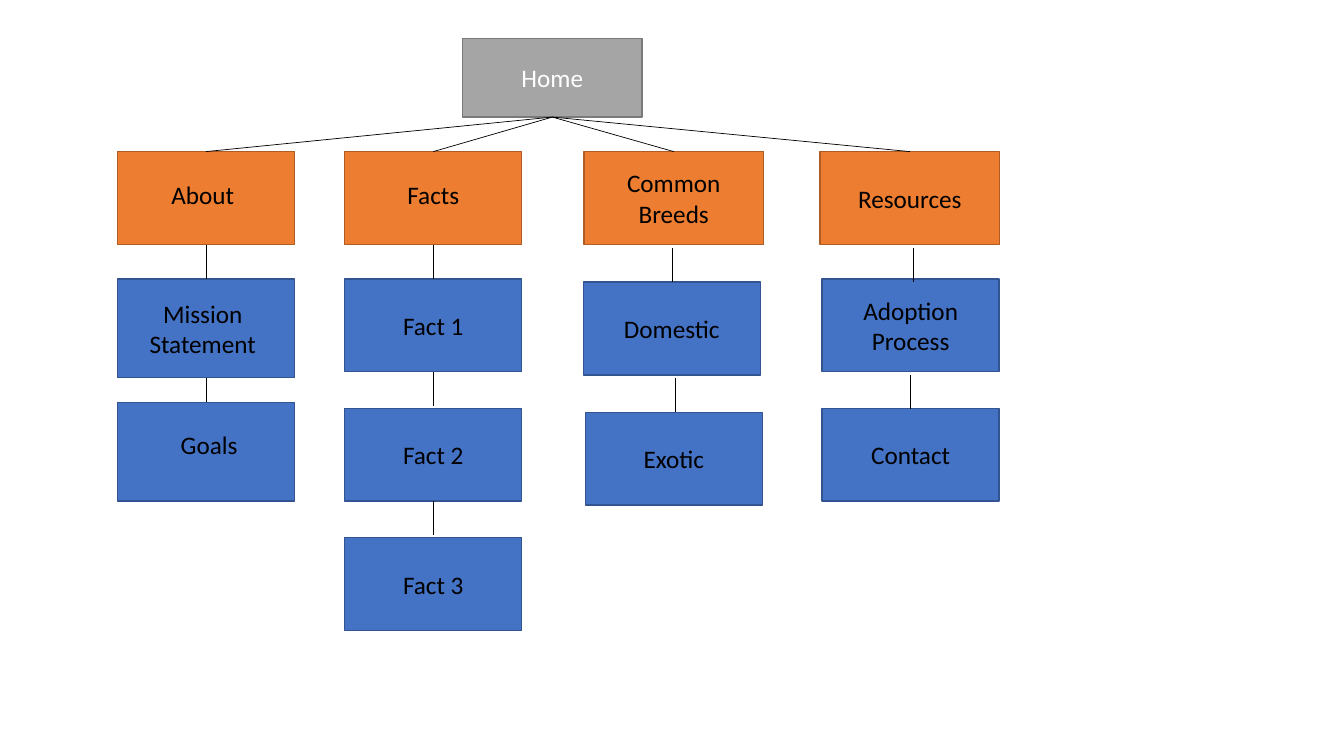
from dataclasses import dataclass

import pptx
import pptx.dml.color
import pptx.enum.shapes
import pptx.enum.text
import pptx.oxml
import pptx.oxml.ns
import pptx.util

Cm = pptx.util.Cm
Pt = pptx.util.Pt
Shapes = pptx.enum.shapes.MSO_SHAPE

COLOURS = {
    "home": "A5A5A5", "home edge": "7A7A7A", "home text": "FFFFFF",
    "section": "ED7D31", "section edge": "AF5C24", "section text": "000000",
    "topic": "4472C4", "topic edge": "325491", "topic text": "000000",
    "link": "000000",
}
FONT_FORMAT = {"name": "Calibri", "size": Pt(18), "bold": False}
FRAME_FORMAT = {
    "word_wrap": True,
    "vertical_anchor": pptx.enum.text.MSO_ANCHOR.MIDDLE,
}
SIDE_INSET, END_INSET = 0.25, 0.13
SECTION_TOP, ROW_TOP, ROW_PITCH = 3.82, 7.03, 3.26


@dataclass
class Node:
    label: str
    left: float
    top: float
    width: float = 4.46
    height: float = 2.34
    kind: str = "topic"
    preset: Shapes = Shapes.RECTANGLE
    shift: float = 0
    lift: float = 0

    @property
    def centre(self) -> float:
        return self.left + self.width / 2

    @property
    def bottom(self) -> float:
        return self.top + self.height


@dataclass
class Stem:
    x: float
    top: float
    length: float = 0.86


def colour(key: str) -> pptx.dml.color.RGBColor:
    return pptx.dml.color.RGBColor.from_string(COLOURS[key])


def apply(target: object, values: dict) -> None:
    for name, value in values.items():
        setattr(target, name, value)


def draw_node(page: pptx.slide.Slide, node: Node) -> None:
    box = page.shapes.add_shape(
        node.preset, Cm(node.left), Cm(node.top), Cm(node.width), Cm(node.height))
    box.shadow.inherit = False
    box.fill.solid()
    box.fill.fore_color.rgb = colour(node.kind)
    box.line.color.rgb = colour(f"{node.kind} edge")
    box.line.width = Pt(1)
    frame = box.text_frame
    apply(frame, FRAME_FORMAT | {
        "margin_left": Cm(SIDE_INSET + node.shift),
        "margin_right": Cm(SIDE_INSET - node.shift),
        "margin_top": Cm(END_INSET),
        "margin_bottom": Cm(END_INSET + 2 * node.lift),
    })
    para = frame.paragraphs[0]
    para.alignment = pptx.enum.text.PP_ALIGN.CENTER
    span = para.add_run()
    span.text = node.label
    apply(span.font, FONT_FORMAT)
    span.font.color.rgb = colour(f"{node.kind} text")


def draw_link(page: pptx.slide.Slide, x1: float, y1: float, x2: float, y2: float) -> None:
    link = page.shapes.add_connector(
        pptx.enum.shapes.MSO_CONNECTOR.STRAIGHT, Cm(x1), Cm(y1), Cm(x2), Cm(y2))
    link.line.color.rgb = colour("link")
    link.line.width = Pt(0.5)
    properties = link._element.find(pptx.oxml.ns.qn("p:spPr"))
    properties.append(pptx.oxml.parse_xml(
        f"<a:effectLst {pptx.oxml.ns.nsdecls('a')}/>"))


def section(label: str, left: float, **options: object) -> Node:
    return Node(label, left, SECTION_TOP, kind="section", **options)


process = {"width": 4.52, "preset": Shapes.FLOWCHART_PROCESS}
home = Node("Home", 11.66, 0.97, 4.52, 1.98, kind="home")
sections = [
    section("About", 2.96, shift=-0.08, lift=0.1),
    section("Facts", 8.69, lift=0.1),
    section("Common Breeds", 14.72, **process),
    section("Resources", 20.67, **process),
]
facts = [Node(f"Fact {row + 1}", 8.69, ROW_TOP + row * ROW_PITCH) for row in range(3)]
topics = [
    Node("Mission Statement", 2.96, ROW_TOP, height=2.49, shift=-0.08),
    Node("Goals", 2.96, 10.14, height=2.49, shift=0.08, lift=0.18),
    *facts,
    Node("Domestic", 14.7, 7.11),
    Node("Exotic", 14.75, 10.39),
    Node("Adoption Process", 20.72, ROW_TOP),
    Node("Contact", 20.72, ROW_TOP + ROW_PITCH),
]
stems = [
    Stem(5.19, 6.17), Stem(5.19, 9.53, 0.61),
    Stem(10.92, 6.17), Stem(10.92, 9.37), Stem(10.91, 12.63),
    Stem(16.94, 6.25), Stem(17.02, 9.53),
    Stem(23.01, 6.25), Stem(22.94, 9.45),
]

deck = pptx.Presentation()
apply(deck, {"slide_width": Cm(33.87), "slide_height": Cm(19.05)})
page = deck.slides.add_slide(deck.slide_layouts[6])
for node in [home, *sections, *topics]:
    draw_node(page, node)
for node in sections:
    draw_link(page, home.centre, home.bottom, node.centre, node.top)
for stem in stems:
    draw_link(page, stem.x, stem.top, stem.x, stem.top + stem.length)
deck.save("out.pptx")
